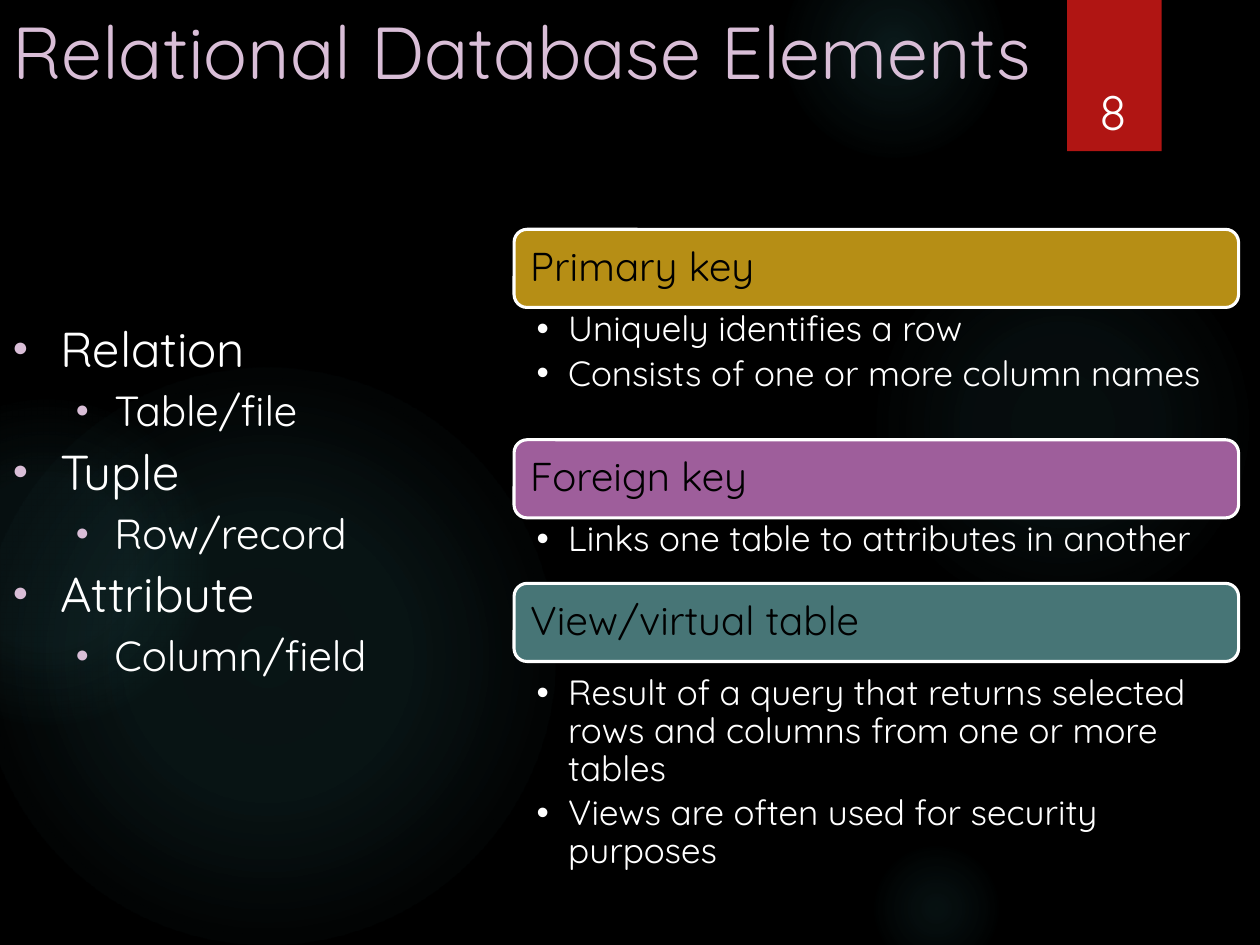
"""Build the Relational Database Elements slide."""
import pptx
import pptx.util
import pptx.dml.color
import pptx.enum.shapes
import pptx.enum.text
import lxml.etree
from dataclasses import dataclass

Inches = pptx.util.Inches
Pt = pptx.util.Pt
SHAPE = pptx.enum.shapes.MSO_SHAPE
ALIGN = pptx.enum.text.PP_ALIGN
ANCHOR = pptx.enum.text.MSO_ANCHOR
NS = "http://schemas.openxmlformats.org/drawingml/2006/main"


@dataclass(frozen=True)
class Theme:
    font: str = "Quicksand"
    black: str = "000000"
    white: str = "FFFFFF"
    lilac: str = "D9BED7"
    red: str = "B01513"
    gold: str = "B68E15"
    purple: str = "9E5E9B"
    teal: str = "477576"
    glow: str = "50B9C1"
    title: int = 42
    body: int = 28
    sub: int = 24
    bar: int = 23
    detail: int = 20


theme = Theme()


def rgb(color):
    return pptx.dml.color.RGBColor.from_string(color)


def write(sp, lines, sizes, color, bullet=None, indents=None, spacing=1.0, before=0, after=0,
          align=ALIGN.LEFT, anchor=ANCHOR.TOP, margins=(0.1, 0.05, 0.1, 0.05)):
    tf = sp.text_frame
    tf.word_wrap = True
    tf.vertical_anchor = anchor
    tf.margin_left, tf.margin_top, tf.margin_right, tf.margin_bottom = map(Inches, margins)
    tf.text = "\n".join(lines)
    for i, p in enumerate(tf.paragraphs):
        level = i % len(sizes)
        p.level = level
        p.alignment = align
        p.line_spacing = spacing
        p.space_before = Pt(before if i else 0)
        p.space_after = Pt(after)
        if bullet:
            left, hang = indents[level]
            pPr = p._p.get_or_add_pPr()
            pPr.set("marL", str(Inches(left)))
            pPr.set("indent", str(-Inches(hang)))
            char, bullet_color, percent = bullet
            clr = lxml.etree.SubElement(pPr, f"{{{NS}}}buClr")
            lxml.etree.SubElement(clr, f"{{{NS}}}srgbClr", val=bullet_color)
            lxml.etree.SubElement(pPr, f"{{{NS}}}buSzPct", val=str(percent * 1000))
            lxml.etree.SubElement(pPr, f"{{{NS}}}buFont", typeface="Arial")
            lxml.etree.SubElement(pPr, f"{{{NS}}}buChar", char=char)
        for r in p.runs:
            r.font.name = theme.font
            r.font.size = Pt(sizes[level])
            r.font.color.rgb = rgb(color)


prs = pptx.Presentation()
prs.slide_width, prs.slide_height = Inches(10), Inches(7.5)
s = prs.slides.add_slide(prs.slide_layouts[6])
s.background.fill.solid()
s.background.fill.fore_color.rgb = rgb(theme.black)

glows = [
    (6.89, 1.83, 3.08, ((0, 7), (36, 6), (69, 0))),
    (6.22, -0.5, 1.75, ((0, 14), (36, 7), (73, 0))),
    (6.89, 6.67, 1.08, ((0, 9), (36, 5), (66, 0))),
    (-0.17, 2.92, 4.58, ((0, 11), (36, 10), (75, 0))),
    (-0.92, 3.17, 2.58, ((0, 8), (36, 8), (72, 0))),
]
for left, top, size, stops in glows:
    sp = s.shapes.add_shape(SHAPE.OVAL, Inches(left), Inches(top), Inches(size), Inches(size))
    sp.shadow.inherit = False
    sp.line.fill.background()
    gs = "".join(
        f'<a:gs pos="{pos * 1000}"><a:srgbClr val="{theme.glow}">'
        f'<a:alpha val="{alpha * 1000}"/></a:srgbClr></a:gs>' for pos, alpha in stops)
    grad = lxml.etree.fromstring(
        f'<a:gradFill xmlns:a="{NS}"><a:gsLst>{gs}</a:gsLst><a:path path="circle">'
        '<a:fillToRect l="50000" t="50000" r="50000" b="50000"/></a:path></a:gradFill>')
    sp._element.spPr.find(f"{{{NS}}}prstGeom").addnext(grad)

sp = s.shapes.add_shape(SHAPE.RECTANGLE, Inches(8.47), 0, Inches(0.75), Inches(1.2))
sp.shadow.inherit = False
sp.fill.solid()
sp.fill.fore_color.rgb = rgb(theme.red)
sp.line.fill.background()

sp = s.shapes.add_textbox(0, 0, Inches(9), Inches(1.75))
write(sp, ["Relational Database Elements"], [theme.title], theme.lilac)

sp = s.shapes.add_textbox(0, Inches(2.57), Inches(4.08), Inches(2.56))
terms = ["Relation", "Table/file", "Tuple", "Row/record", "Attribute", "Column/field"]
write(sp, terms, [theme.body, theme.sub], theme.white, bullet=("●", theme.lilac, 55),
      indents=[(0.38, 0.38), (0.81, 0.31)], spacing=0.8, before=10)

sections = [
    (1.82, theme.gold, "Primary key", 2.44, 1.05,
     ["Uniquely identifies a row", "Consists of one or more column names"]),
    (3.49, theme.purple, "Foreign key", 4.11, 0.8,
     ["Links one table to attributes in another"]),
    (4.63, theme.teal, "View/virtual table", 5.33, 1.69,
     ["Result of a query that returns selected rows and columns from one or more tables",
      "Views are often used for security purposes"]),
]
left, width = Inches(4.08), Inches(5.75)
for bar_top, color, heading, top, height, details in sections:
    sp = s.shapes.add_shape(SHAPE.ROUNDED_RECTANGLE, left, Inches(bar_top), width, Inches(0.62))
    sp.shadow.inherit = False
    sp.fill.solid()
    sp.fill.fore_color.rgb = rgb(color)
    sp.line.color.rgb = rgb(theme.white)
    sp.line.width = Pt(1.75)
    write(sp, [heading], [theme.bar], theme.black, spacing=0.9, anchor=ANCHOR.MIDDLE,
          margins=(0.1, 0.1, 0.1, 0.1))
    sp = s.shapes.add_textbox(left, Inches(top), width, Inches(height))
    write(sp, details, [theme.detail], theme.white, bullet=("•", theme.white, 100),
          indents=[(0.25, 0.25)], spacing=0.9, after=4, margins=(0.18, 0.03, 0.16, 0.03))

sp = s.shapes.add_textbox(Inches(8.49), Inches(0.32), Inches(0.69), Inches(0.84))
write(sp, ["8"], [theme.body], theme.white, align=ALIGN.CENTER, anchor=ANCHOR.BOTTOM)

prs.save("out.pptx")
